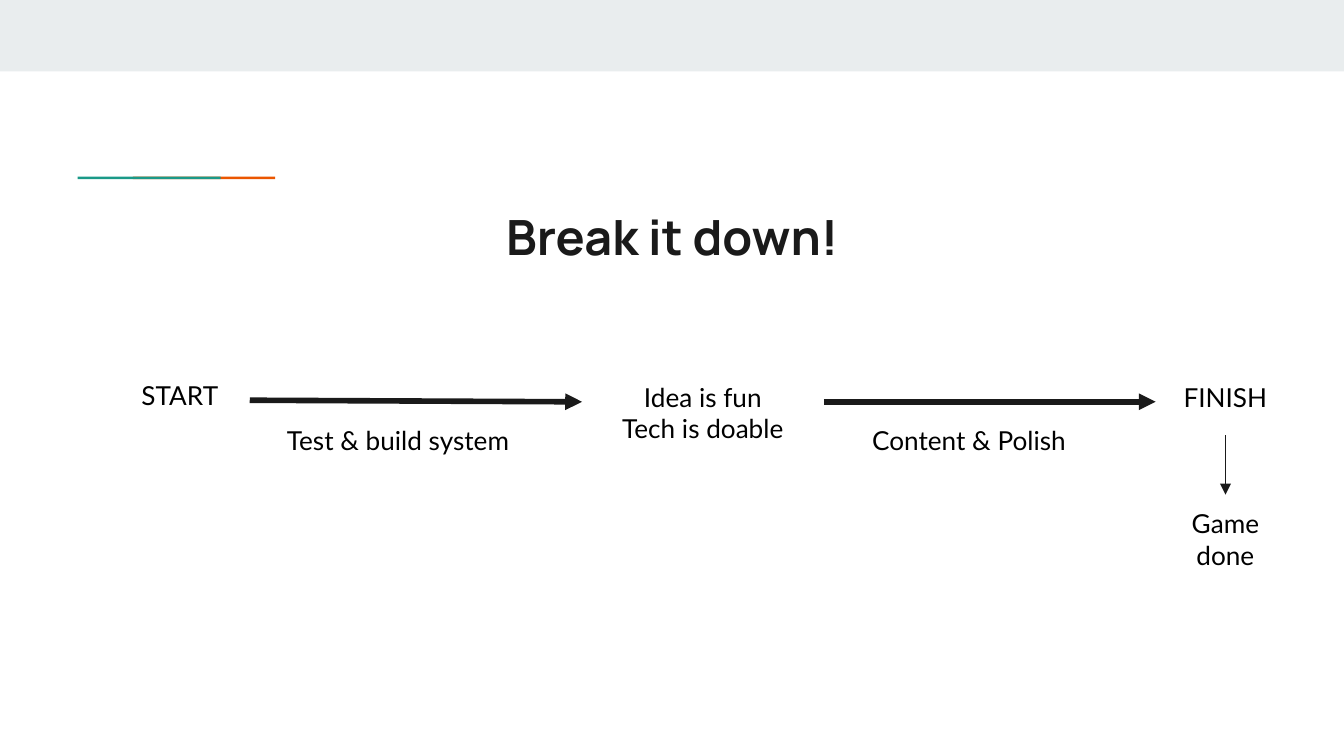
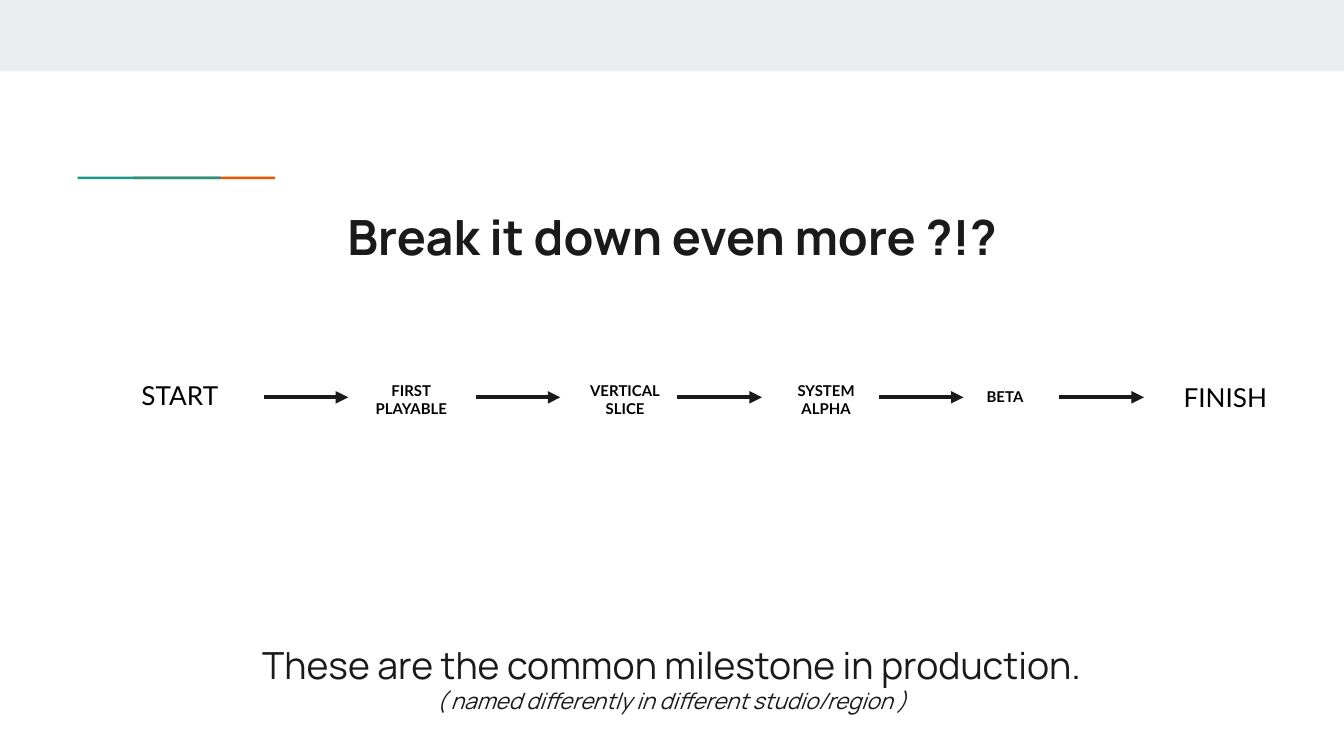
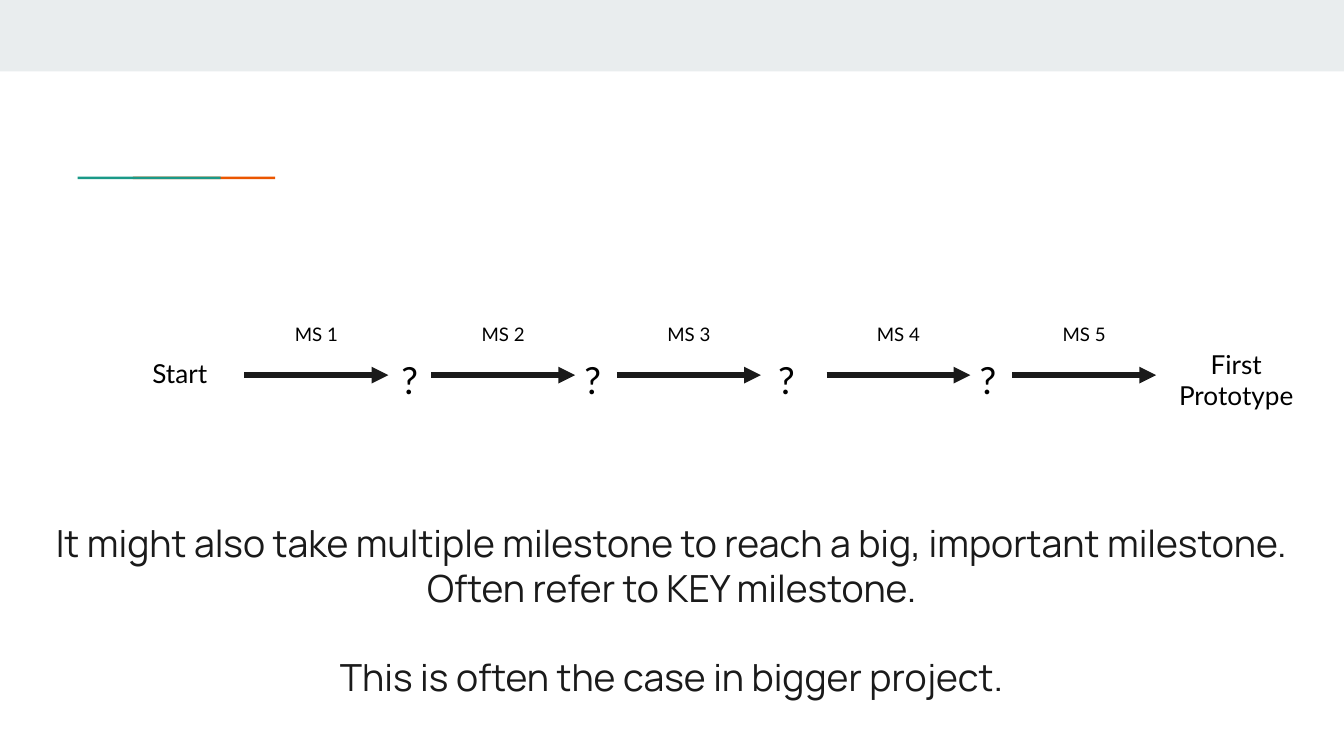
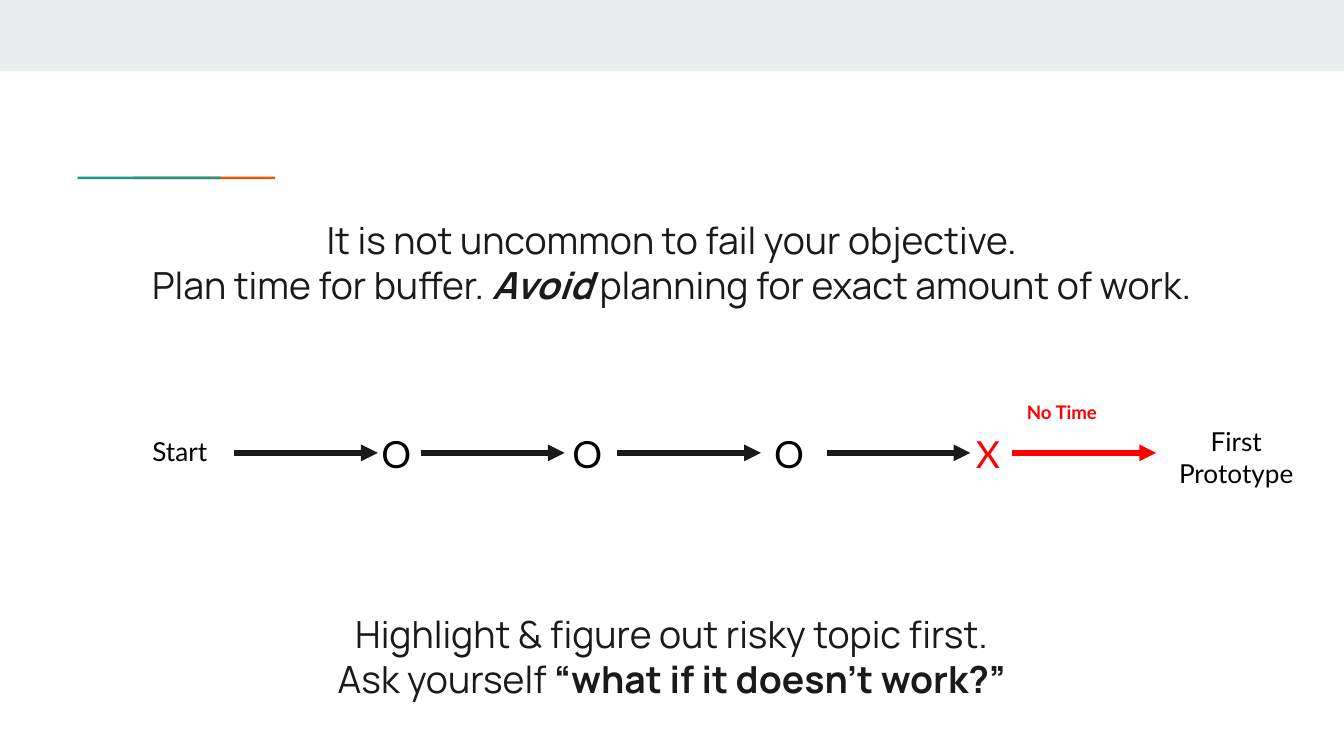
from lxml.etree import SubElement
from pptx import Presentation
from pptx.dml.color import RGBColor
from pptx.enum.shapes import MSO_CONNECTOR, MSO_SHAPE
from pptx.enum.text import MSO_ANCHOR, PP_ALIGN
from pptx.oxml.ns import qn
from pptx.util import Cm, Pt

# Lengths are centimetres, text sizes and line widths are points.
PAGE_W, PAGE_H = 25.4, 14.29
INK, BLACK, RED = "1A1A1A", "000000", "FF0000"
BAND, ORANGE, GREEN = "E9EDEE", "EB5600", "1A9988"
LABEL_FONT, BODY_FONT = "Lato", "Manrope"
TOP, LEFT, BOTTOM, RIGHT = range(4)

START_LEFT, FINISH_LEFT = 2.08, 21.84
STEP_W, STEP_H = 2.64, 1.27
GOAL_W = 3.05
MARK_W, MARK_H = 0.97, 0.71
MILESTONE_W = 2.03
SHORT_ARROW, LONG_ARROW = 1.6, 2.72

# Slide 1: captions as (text, left, width)
PHASES = [("Test & build system", 4.72, 5.61), ("Content & Polish", 15.57, 5.49)]

# Slide 2: milestones as (lines, left, top)
MILESTONES = [
    (["FIRST", "PLAYABLE"], 6.76, 6.96),
    (["VERTICAL", "SLICE"], 10.8, 6.96),
    (["SYSTEM", "ALPHA"], 14.6, 6.96),
    (["BETA"], 17.98, 7.16),
]
MILESTONE_ARROWS = [4.98, 8.99, 12.8, 16.61, 20.02]
MILESTONE_NOTE = [[
    ("These are the common milestone in production.\n", {}),
    ("( named differently in different studio/region )", {"size": 12, "italic": True}),
]]

# Slides 3 and 4: arrows as (left, colour), marks as (text, left, colour)
UNKNOWN_ROAD = {
    "axis": 7.09,
    "arrows": [(left, INK) for left in (4.62, 8.15, 11.66, 15.62, 19.13)],
    "mark_top": 6.51,
    "marks": [("?", left, BLACK) for left in (7.26, 10.72, 14.38, 18.19)],
}
FAILED_ROAD = {
    "axis": 8.56,
    "arrows": [(4.42, INK), (7.95, INK), (11.66, INK), (15.62, INK), (19.13, RED)],
    "mark_top": 7.9,
    "marks": [("O", 6.96, BLACK), ("O", 10.57, BLACK), ("O", 14.38, BLACK),
              ("X", 18.19, RED)],
}
KEY_MILESTONE_NOTE = [
    [("It might also take multiple milestone to reach a big, important milestone.\n"
      "Often refer to KEY milestone.", {})],
    [("This is often the case in bigger project.", {})],
]
BUFFER_NOTE = [[
    ("It is not uncommon to fail your objective.\nPlan time for buffer. ", {}),
    ("Avoid ", {"bold": True, "italic": True}),
    ("planning for exact amount of work.", {}),
]]
RISK_NOTE = [
    [("Highlight & figure out risky topic first.", {})],
    [("Ask yourself ", {}), ("“what if it doesn’t work?”", {"bold": True})],
]


def color(hex_code):
    return RGBColor.from_string(hex_code)


def add_bar(slide, left, top, width, height, fill):
    bar = slide.shapes.add_shape(
        MSO_SHAPE.RECTANGLE, Cm(left), Cm(top), Cm(width), Cm(height))
    bar.shadow.inherit = False
    bar.fill.solid()
    bar.fill.fore_color.rgb = color(fill)
    bar.line.fill.background()


def new_slide(deck):
    """Add a slide with the top band and the two-colour accent."""
    slide = deck.slides.add_slide(deck.slide_layouts[6])
    add_bar(slide, 0, 0, PAGE_W, 1.35, BAND)
    add_bar(slide, 2.51, 3.34, 2.69, 0.05, ORANGE)
    add_bar(slide, 1.47, 3.34, 2.7, 0.05, GREEN)
    return slide


def add_text(slide, paragraphs, left, top, width, height, gap=0, **style):
    """Add centred text; each paragraph is a list of (text, style changes)."""
    box = slide.shapes.add_textbox(Cm(left), Cm(top), Cm(width), Cm(height))
    frame = box.text_frame
    frame.word_wrap = True
    frame.vertical_anchor = MSO_ANCHOR.TOP
    frame.margin_left = frame.margin_right = Cm(0.25)
    frame.margin_top = frame.margin_bottom = Cm(0.25)
    for index, runs in enumerate(paragraphs):
        paragraph = frame.add_paragraph() if index else frame.paragraphs[0]
        paragraph.alignment = PP_ALIGN.CENTER
        if index and gap:
            paragraph.space_before = Pt(gap)
        for text, changes in runs:
            look = {**style, **changes}
            for number, line in enumerate(text.split("\n")):
                if number:
                    paragraph.add_line_break()
                if line:
                    run = paragraph.add_run()
                    run.text = line
                    run.font.name = look["font"]
                    run.font.size = Pt(look["size"])
                    run.font.color.rgb = color(look["ink"])
                    run.font.bold = look.get("bold", False)
                    run.font.italic = look.get("italic", False)
    return box


def add_label(slide, text, left, top, width=STEP_W, height=STEP_H,
              size=14, ink=BLACK, bold=False):
    return add_text(slide, [[(text, {})]], left, top, width, height,
                    font=LABEL_FONT, size=size, ink=ink, bold=bold)


def add_title(slide, text):
    add_text(slide, [[(text, {})]], 2.03, 3.66, 21.36, 1.5,
             font=BODY_FONT, size=26, ink=INK, bold=True)


def add_note(slide, paragraphs, top, height, gap=0):
    add_text(slide, paragraphs, 0, top, PAGE_W, height, gap,
             font=BODY_FONT, size=20, ink=INK)


def add_arrow(slide, left, top, length, weight, ink=INK):
    arrow = slide.shapes.add_connector(
        MSO_CONNECTOR.STRAIGHT, Cm(left), Cm(top), Cm(left + length), Cm(top))
    arrow.line.color.rgb = color(ink)
    arrow.line.width = Pt(weight)
    SubElement(arrow.line._get_or_add_ln(), qn("a:tailEnd"), type="triangle")
    SubElement(arrow._element.spPr, qn("a:effectLst"))
    return arrow


def join(slide, origin, origin_side, target, target_side, weight):
    arrow = add_arrow(slide, 0, 0, 1, weight)
    arrow.begin_connect(origin, origin_side)
    arrow.end_connect(target, target_side)


def add_ends(slide):
    return (add_label(slide, "START", START_LEFT, 6.93),
            add_label(slide, "FINISH", FINISH_LEFT, 6.96))


def add_road(slide, axis, arrows, mark_top, marks):
    """Draw the way from Start to First Prototype along one axis."""
    add_label(slide, "Start", START_LEFT, axis - 0.58)
    add_label(slide, "First Prototype", FINISH_LEFT, axis - 0.76, GOAL_W)
    for left, ink in arrows:
        add_arrow(slide, left, axis, LONG_ARROW, 3, ink)
    for text, left, ink in marks:
        add_label(slide, text, left, mark_top, MARK_W, MARK_H, 20, ink)


def build_phases(deck):
    slide = new_slide(deck)
    add_title(slide, "Break it down!")
    start, finish = add_ends(slide)
    proof = add_label(slide, "Idea is fun\nTech is doable", 11, 6.96, 4.57)
    done = add_label(slide, "Game done", FINISH_LEFT, 9.35)
    for text, left, width in PHASES:
        add_label(slide, text, left, 7.77, width)
    join(slide, start, RIGHT, proof, LEFT, 3)
    join(slide, proof, RIGHT, finish, LEFT, 3)
    join(slide, finish, BOTTOM, done, TOP, 0.75)


def build_milestones(deck):
    slide = new_slide(deck)
    add_title(slide, "Break it down even more ?!?")
    add_ends(slide)
    for lines, left, top in MILESTONES:
        add_text(slide, [[(line, {})] for line in lines], left, top, MILESTONE_W, 0.71,
                 font=LABEL_FONT, size=8, ink=BLACK, bold=True)
    for left in MILESTONE_ARROWS:
        add_arrow(slide, left, 7.51, SHORT_ARROW, 2.25)
    add_note(slide, MILESTONE_NOTE, 11.89, 2.41)


def build_unknown_road(deck):
    slide = new_slide(deck)
    add_road(slide, **UNKNOWN_ROAD)
    for number, (left, _) in enumerate(UNKNOWN_ROAD["arrows"], 1):
        add_label(slide, f"MS {number}", left + (LONG_ARROW - STEP_W) / 2, 5.89, size=10)
    add_note(slide, KEY_MILESTONE_NOTE, 9.58, 4.27, gap=24)


def build_failed_road(deck):
    slide = new_slide(deck)
    add_note(slide, BUFFER_NOTE, 3.86, 4.27)
    add_road(slide, **FAILED_ROAD)
    add_label(slide, "No Time", 18.75, 7.37, size=10, ink=RED, bold=True)
    add_note(slide, RISK_NOTE, 11.3, 2.57)


def main():
    deck = Presentation()
    deck.slide_width, deck.slide_height = Cm(PAGE_W), Cm(PAGE_H)
    for build in (build_phases, build_milestones, build_unknown_road, build_failed_road):
        build(deck)
    deck.save("out.pptx")


if __name__ == "__main__":
    main()
